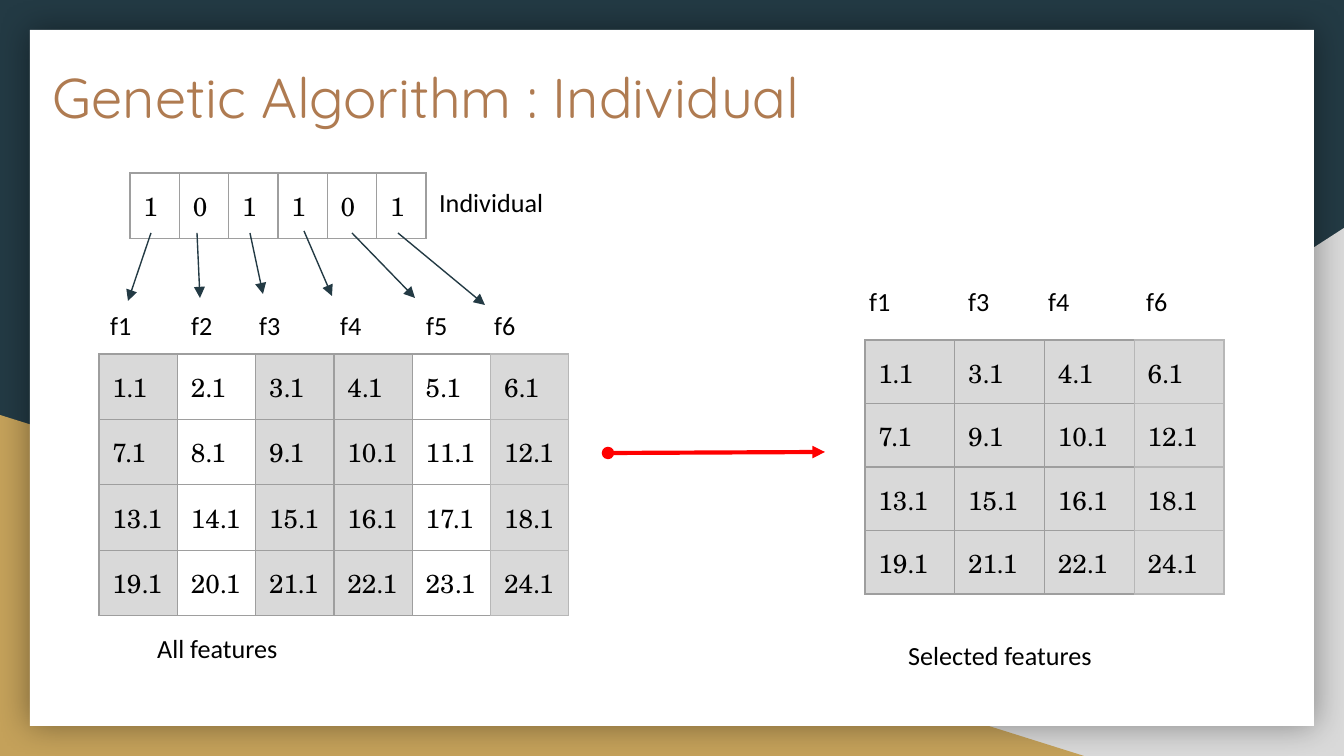
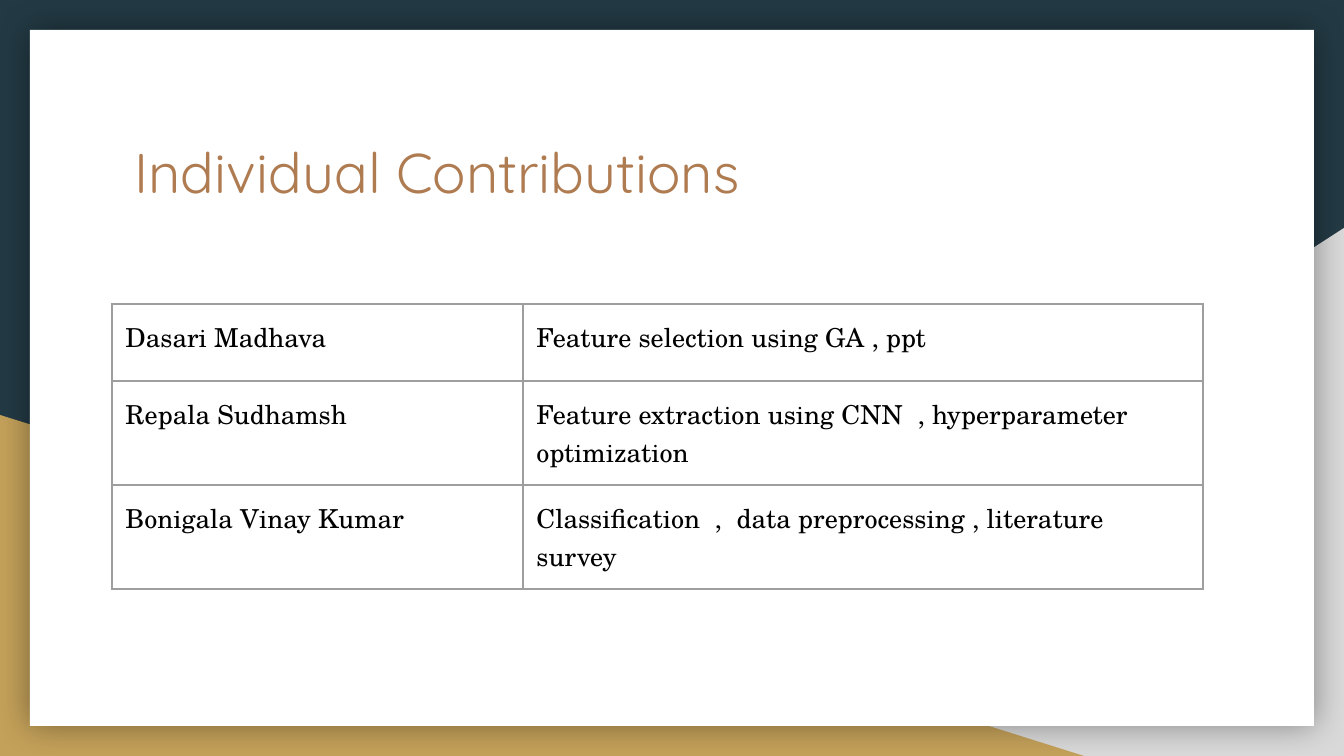
from dataclasses import dataclass
from itertools import compress

from lxml.etree import SubElement
from pptx import Presentation
from pptx.dml.color import RGBColor
from pptx.enum.shapes import MSO_CONNECTOR as LINE, MSO_SHAPE as SHAPE
from pptx.enum.text import MSO_ANCHOR as ANCHOR, MSO_AUTO_SIZE as AUTO, PP_ALIGN as ALIGN
from pptx.oxml.ns import qn
from pptx.util import Emu, Pt


@dataclass(frozen=True)
class Theme:
    """Colours, fonts and sizes of the deck."""
    navy: str = "233A44"
    gold: str = "C4A15A"
    grey: str = "D9D9D9"
    white: str = "FFFFFF"
    black: str = "000000"
    bronze: str = "AF7B51"
    red: str = "FF0000"
    border: str = "9E9E9E"
    light_border: str = "B7B7B7"
    title_font: str = "Quicksand"
    label_font: str = "Calibri"
    table_font: str = "TeX Gyre Schola"
    title_size: int = 30
    body_size: int = 14
    inset: float = 7.2
    table_frame: int = 441


T = Theme()
GENES = (1, 0, 1, 1, 0, 1)
ARROWS = (
    (21, 60, -2, 128), (67, 60, 70, 125), (120, 60, 133, 121),
    (174, 58, 202, 123), (222, 60, 285, 125), (268, 60, 355, 132),
)
CONTRIBUTIONS = (
    ("Dasari Madhava ", "Feature selection using GA , ppt "),
    ("Repala Sudhamsh ", "Feature extraction using CNN  , hyperparameter optimization"),
    ("Bonigala Vinay Kumar", "Classification  ,  data preprocessing , literature survey "),
)


def px(n):
    """Turn pixels into EMU."""
    return Emu(round(n * 914400 / 134.4))


def rgb(color):
    """Turn a hex string into a colour."""
    return RGBColor.from_string(color)


def style(p, font, size, color):
    """Format a whole paragraph."""
    p.font.name, p.font.size = font, Pt(size)
    p.font.color.rgb = rgb(color)
    p.alignment = ALIGN.LEFT


def set_insets(frame):
    """Give a text frame or cell the common margins."""
    frame.margin_left = frame.margin_right = Pt(T.inset)
    frame.margin_top = frame.margin_bottom = Pt(T.inset)
    frame.vertical_anchor = ANCHOR.TOP


def add_panel(slide, kind, box, color):
    """Add a plain filled shape."""
    sp = slide.shapes.add_shape(kind, *map(px, box))
    sp.shadow.inherit = False
    sp.fill.solid()
    sp.fill.fore_color.rgb = rgb(color)
    sp.line.fill.background()
    return sp


def decorate(layout, slide):
    """Draw the backdrop and hand it to the layout."""
    layout.background.fill.solid()
    layout.background.fill.fore_color.rgb = rgb(T.navy)
    right = add_panel(slide, SHAPE.RIGHT_TRIANGLE, (527, 228, 817, 528), T.grey)
    right.element.spPr.xfrm.set("flipH", "1")
    left = add_panel(slide, SHAPE.RIGHT_TRIANGLE, (0, 415, 1084, 341), T.gold)
    card = add_panel(slide, SHAPE.RECTANGLE, (30, 30, 1284, 696), T.white)
    effects = card.element.spPr.find(qn("a:effectLst"))
    shadow = SubElement(effects, qn("a:outerShdw"), blurRad=str(Pt(18)), dist="0",
                        algn="ctr", rotWithShape="0")
    color = SubElement(shadow, qn("a:srgbClr"), val=T.black)
    SubElement(color, qn("a:alpha"), val="40000")
    for i, sp in enumerate((right, left, card)):
        layout.element.cSld.spTree.insert(2 + i, sp.element)


def set_title(slide, box, text):
    """Place and format the title placeholder."""
    sp = slide.shapes.title
    sp.left, sp.top, sp.width, sp.height = map(px, box)
    tf = sp.text_frame
    tf.text = text
    tf.word_wrap, tf.auto_size = True, AUTO.NONE
    set_insets(tf)
    style(tf.paragraphs[0], T.title_font, T.title_size, T.bronze)


def add_label(slide, box, text, stops=()):
    """Add a text line, with tab stops if it has columns."""
    sp = slide.shapes.add_textbox(*map(px, box))
    tf = sp.text_frame
    tf.word_wrap = True
    set_insets(tf)
    p = tf.paragraphs[0]
    p.add_run().text = text
    style(p, T.label_font, T.body_size, T.black)
    if stops:
        tabs = SubElement(sp.element.find(".//" + qn("a:p")).get_or_add_pPr(), qn("a:tabLst"))
        tabs.getparent().insert(0, tabs)
        for stop in stops:
            SubElement(tabs, qn("a:tab"), pos=str(px(stop)), algn="l")


def add_arrow(slide, start, end, color, width, head="none"):
    """Add a line with a triangle at its end."""
    c = slide.shapes.add_connector(LINE.STRAIGHT, *map(px, start + end))
    c.line.color.rgb = rgb(color)
    c.line.width = Pt(width)
    ln = c.element.spPr.find(qn("a:ln"))
    SubElement(ln, qn("a:headEnd"), type=head)
    SubElement(ln, qn("a:tailEnd"), type="triangle")
    SubElement(c.element.spPr, qn("a:effectLst"))


def add_border(tc, side, color):
    """Draw one side of a table cell."""
    ln = SubElement(tc.get_or_add_tcPr(), qn("a:ln" + side), w=str(Pt(0.75)))
    fill = SubElement(ln, qn("a:solidFill"))
    SubElement(fill, qn("a:srgbClr"), val=color)


def add_grid(slide, box, rows, shaded=(), light_end=False, widths=(), heights=()):
    """Add a bordered table with shaded columns in the common square frame."""
    n = len(rows[0])
    frame = slide.shapes.add_table(len(rows), n, *map(px, box))
    table = frame.table
    table.first_row = table.horz_banding = False
    values = [value for row in rows for value in row]
    cells = zip(table.iter_cells(), frame.element.iter(qn("a:tc")), values)
    for i, (cell, tc, value) in enumerate(cells):
        col = i % n
        for side in "LRTB":
            light = light_end and (col == n - 1 or (col == n - 2 and side == "R"))
            add_border(tc, side, T.light_border if light else T.border)
        if shaded and shaded[col]:
            cell.fill.solid()
            cell.fill.fore_color.rgb = rgb(T.grey)
        else:
            cell.fill.background()
        set_insets(cell)
        cell.text = str(value)
        style(cell.text_frame.paragraphs[0], T.table_font, T.body_size, T.black)
    for column, width in zip(table.columns, widths):
        column.width = px(width)
    for row, height in zip(table.rows, heights):
        row.height = px(height)
    frame.width = frame.height = px(T.table_frame)


def chromosome(slide, box):
    """Draw the gene row, its name and the arrows to the features."""
    x, y, w, h = box
    add_grid(slide, box, [GENES])
    add_label(slide, (x + w, y, 133, 59), "Individual ")
    for x1, y1, x2, y2 in ARROWS:
        add_arrow(slide, (x + x1, y + y1), (x + x2, y + y2), T.navy, 0.75)


def feature_table(slide, box, columns, stops, names_at, caption, caption_at):
    """Draw the chosen feature columns with names above and a caption below."""
    x, y = box[:2]
    rows = [[f"{len(GENES) * r + c + 1}.1" for c in columns] for r in range(4)]
    add_grid(slide, box, rows, [GENES[c] for c in columns], light_end=True)
    names = "\t".join(f"f{c + 1}" for c in columns)
    add_label(slide, (x + names_at[0], y + names_at[1], 469, 59), names, stops)
    add_label(slide, (x + caption_at[0], y + caption_at[1], 254, 59), caption)


def individual_slide(slide):
    """Show how an individual selects features."""
    set_title(slide, (24, 49, 1103, 140), " Genetic Algorithm : Individual ")
    every = range(len(GENES))
    chromosome(slide, (130, 173, 296, 65))
    feature_table(slide, (99, 354, 470, 262), every, (81, 149, 230, 316, 384),
                  (-2, -58), "All features ", (45, 265))
    add_arrow(slide, (608, 453), (825, 452), T.red, 2.25, "oval")
    feature_table(slide, (865, 340, 359, 254), list(compress(every, GENES)), (99, 179, 277),
                  (-9, -68), "Selected features ", (30, 286))


def contributions_slide(slide):
    """List who did what."""
    set_title(slide, (121, 124, 1103, 140), "Individual Contributions ")
    add_grid(slide, (112, 304, 1091, 285), CONTRIBUTIONS,
             widths=(411, 680), heights=(77, 104, 104))


def main():
    """Build and save the deck."""
    prs = Presentation()
    prs.slide_width, prs.slide_height = px(1344), px(756)
    layout = prs.slide_layouts[5]
    first, second = (prs.slides.add_slide(layout) for _ in range(2))
    decorate(layout, first)
    individual_slide(first)
    contributions_slide(second)
    prs.save("out.pptx")


main()
